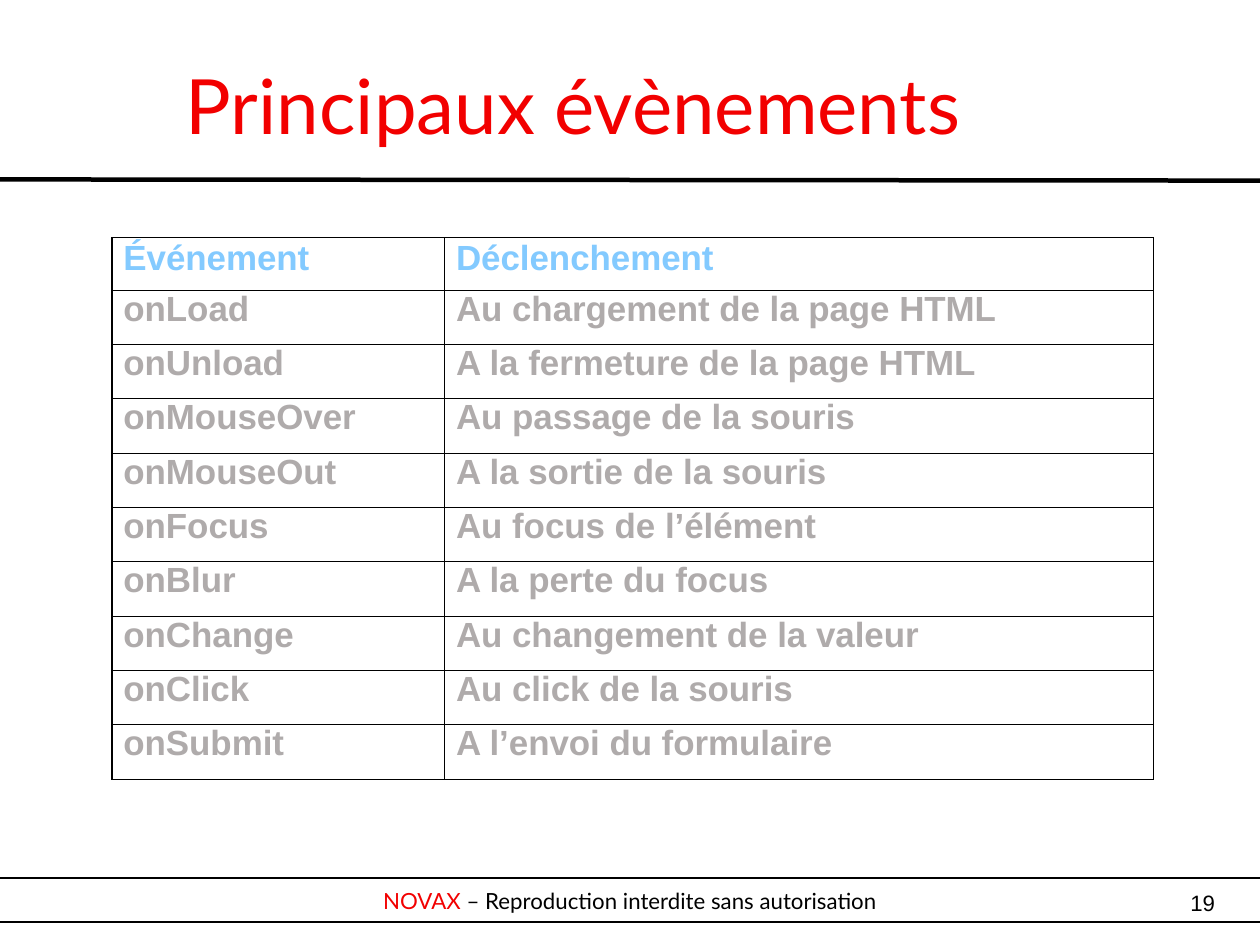
import pptx
import pptx.util
import pptx.dml.color
import pptx.enum.shapes
import pptx.enum.text
import pptx.oxml
import pptx.oxml.ns

Inches = pptx.util.Inches
Pt = pptx.util.Pt
ALIGN = pptx.enum.text.PP_ALIGN
ANCHOR = pptx.enum.text.MSO_ANCHOR

COLORS = {"red": "F20000", "black": "000000", "blue": "83CAFF", "gray": "AFABAB"}
TITLE = "Principaux évènements"
FOOTER = [("NOVAX", "red"), (" – Reproduction interdite sans autorisation", "black")]
PAGE = "19"
EVENTS = [
    ("Événement", "Déclenchement"),
    ("onLoad", "Au chargement de la page HTML"),
    ("onUnload", "A la fermeture de la page HTML"),
    ("onMouseOver", "Au passage de la souris"),
    ("onMouseOut", "A la sortie de la souris"),
    ("onFocus", "Au focus de l’élément"),
    ("onBlur", "A la perte du focus"),
    ("onChange", "Au changement de la valeur"),
    ("onClick", "Au click de la souris"),
    ("onSubmit", "A l’envoi du formulaire"),
]
COL_WIDTHS = (2.91, 6.2)
TABLE_HEIGHT, HEADER_HEIGHT = 4.74, 0.46
CM_PER_INCH = 2.54
SLIDE_W, SLIDE_H = 28 / CM_PER_INCH, 21 / CM_PER_INCH


def rgb(name):
    """Return the named colour."""
    return pptx.dml.color.RGBColor.from_string(COLORS[name])


def write(tf, runs, size=14, font="Lato", bold=False, align=ALIGN.LEFT,
          spacing=1.04, anchor=None, inset=None):
    """Fill a text frame with one paragraph of (text, colour) runs."""
    if inset is not None:
        tf.word_wrap = True
        tf.margin_left = tf.margin_right = tf.margin_top = tf.margin_bottom = Inches(inset)
    if anchor is not None:
        tf.vertical_anchor = anchor
    p = tf.paragraphs[0]
    p.alignment, p.line_spacing = align, spacing
    for text, color in runs:
        r = p.add_run()
        r.text = text
        r.font.name, r.font.size, r.font.bold = font, Pt(size), bold
        r.font.color.rgb = rgb(color)


def add_borders(cell):
    """Draw a thin black line on each side of a cell."""
    tc_pr = cell._tc.get_or_add_tcPr()
    for side in ("lnL", "lnR", "lnT", "lnB"):
        tc_pr.append(pptx.oxml.parse_xml(
            f'<a:{side} {pptx.oxml.ns.nsdecls("a")} w="{Pt(0.75)}"><a:solidFill>'
            f'<a:srgbClr val="{COLORS["black"]}"/></a:solidFill></a:{side}>'))


def add_events(s):
    """Add the table of events."""
    count = len(EVENTS) - 1
    heights = [HEADER_HEIGHT] + [(TABLE_HEIGHT - HEADER_HEIGHT) / count] * count
    table = s.shapes.add_table(
        len(EVENTS), len(COL_WIDTHS), Inches(0.98), Inches(2.08),
        Inches(sum(COL_WIDTHS)), Inches(TABLE_HEIGHT)).table
    table.first_row = table.horz_banding = False
    for col, width in zip(table.columns, COL_WIDTHS):
        col.width = Inches(width)
    for i, (row, height) in enumerate(zip(table.rows, heights)):
        row.height = Inches(height)
        color, spacing = ("gray", 0.81) if i else ("blue", 0.87)
        for cell, text in zip(row.cells, EVENTS[i]):
            add_borders(cell)
            cell.fill.background()
            write(cell.text_frame, [(text, color)], size=22, font="Arial",
                  bold=True, spacing=spacing)


def main():
    """Build the slide."""
    prs = pptx.Presentation()
    prs.slide_width, prs.slide_height = Inches(SLIDE_W), Inches(SLIDE_H)
    s = prs.slides.add_slide(prs.slide_layouts[6])

    footer = s.shapes.add_shape(
        pptx.enum.shapes.MSO_SHAPE.RECTANGLE,
        Inches(-0.2), Inches(7.68), Inches(SLIDE_W + 0.4), Inches(0.39))
    footer.shadow.inherit = False
    footer.fill.background()
    footer.line.color.rgb, footer.line.width = rgb("black"), Pt(1.42)
    write(footer.text_frame, FOOTER, align=ALIGN.CENTER, anchor=ANCHOR.MIDDLE, inset=0.01)

    rule = s.shapes.add_connector(
        pptx.enum.shapes.MSO_CONNECTOR.STRAIGHT,
        Inches(0), Inches(1.57), Inches(SLIDE_W), Inches(1.58))
    rule.line.color.rgb, rule.line.width = rgb("black"), Pt(2.83)
    rule._element.spPr.append(pptx.oxml.parse_xml(
        f'<a:effectLst {pptx.oxml.ns.nsdecls("a")}/>'))

    page = s.shapes.add_textbox(Inches(10.24), Inches(7.8), Inches(0.39), Inches(0.42))
    write(page.text_frame, [(PAGE, "black")], font="Arial", align=ALIGN.RIGHT,
          spacing=0.93, inset=0)

    title = s.shapes.add_textbox(Inches(0.39), Inches(0.25), Inches(9.25), Inches(1.28))
    write(title.text_frame, [(TITLE, "red")], size=48, align=ALIGN.CENTER,
          anchor=ANCHOR.MIDDLE, inset=0)

    add_events(s)
    prs.save("out.pptx")


if __name__ == "__main__":
    main()
